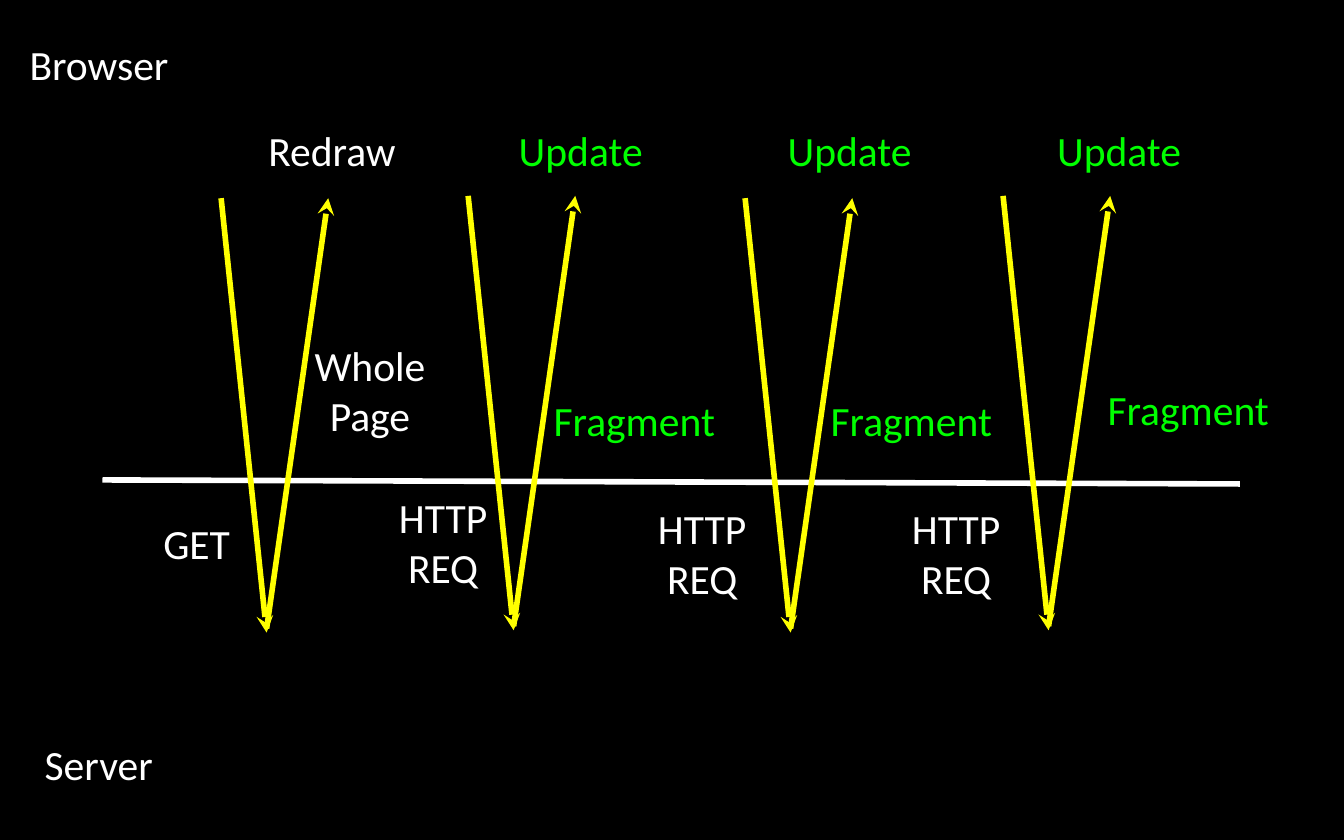
"""Build a slide of browser and server round trips, whole page versus fragments."""
from dataclasses import dataclass

from lxml import etree
from pptx import Presentation
from pptx.dml.color import RGBColor
from pptx.enum import shapes, text
from pptx.oxml import ns
from pptx.util import Inches, Pt

BLACK = RGBColor(0x00, 0x00, 0x00)
WHITE = RGBColor(0xFF, 0xFF, 0xFF)
GREEN = RGBColor(0x00, 0xFF, 0x00)
YELLOW = RGBColor(0xFF, 0xFF, 0x00)
LINE_HEIGHT = 0.87


@dataclass
class Label:
    words: str
    left: float
    top: float
    width: float
    color: RGBColor = WHITE


@dataclass
class Trip:
    left: float
    top: float
    request: Label
    response: Label
    result: Label


def http_req(left: float, top: float) -> Label:
    return Label("HTTP\nREQ", left, top, 1.77)


def fragment(left: float, top: float) -> Label:
    return Label("Fragment", left, top, 3.31, GREEN)


def update(left: float) -> Label:
    return Label("Update", left, 2.17, 2.49, GREEN)


TRIPS = [
    Trip(3.84, 3.44, Label("GET", 2.75, 8.98, 1.33),
         Label("Whole\nPage", 5.35, 5.89, 2.15), Label("Redraw", 4.48, 2.17, 2.57)),
    Trip(8.13, 3.4, http_req(6.81, 8.54), fragment(9.36, 6.85), update(8.84)),
    Trip(12.94, 3.44, http_req(11.31, 8.72), fragment(14.17, 6.85), update(13.51)),
    Trip(17.42, 3.4, http_req(15.72, 8.72), fragment(18.98, 6.66), update(18.19)),
]
SIDES = [Label("Browser", 0.31, 0.67, 2.82), Label("Server", 0.63, 12.82, 2.17)]


def add_label(s, label: Label) -> None:
    lines = label.words.split("\n")
    sp = s.shapes.add_textbox(Inches(label.left), Inches(label.top),
                              Inches(label.width), Inches(LINE_HEIGHT * len(lines)))
    tf = sp.text_frame
    tf.margin_left = tf.margin_top = tf.margin_right = tf.margin_bottom = 0
    tf.word_wrap = False
    tf.auto_size = text.MSO_AUTO_SIZE.SHAPE_TO_FIT_TEXT
    tf.vertical_anchor = text.MSO_ANCHOR.MIDDLE
    tf.text = label.words
    for p in tf.paragraphs:
        p.alignment = text.PP_ALIGN.CENTER
        p.font.name = "Calibri"
        p.font.size = Pt(52)
        p.font.color.rgb = label.color


def add_line(s, x1: float, y1: float, x2: float, y2: float,
             color: RGBColor, arrow: bool = False) -> None:
    sp = s.shapes.add_connector(shapes.MSO_CONNECTOR.STRAIGHT,
                                Inches(x1), Inches(y1), Inches(x2), Inches(y2))
    sp.line.color.rgb = color
    sp.line.width = Pt(7)
    if arrow:
        ln = sp.line._get_or_add_ln()
        etree.SubElement(ln, ns.qn("a:tailEnd"), type="stealth")
    etree.SubElement(sp._element.spPr, ns.qn("a:effectLst"))


def add_trip(s, trip: Trip) -> None:
    turn = trip.left + 0.79
    add_line(s, trip.left, trip.top, turn, trip.top + 7.54, YELLOW, arrow=True)
    add_line(s, turn, trip.top + 7.47, turn + 1.07, trip.top, YELLOW, arrow=True)
    for label in (trip.request, trip.response, trip.result):
        add_label(s, label)


def main() -> None:
    prs = Presentation()
    prs.slide_width, prs.slide_height = Inches(23.34), Inches(14.58)
    s = prs.slides.add_slide(prs.slide_layouts[6])
    s.background.fill.solid()
    s.background.fill.fore_color.rgb = BLACK
    add_line(s, 1.78, 8.33, 21.53, 8.4, WHITE)
    for side in SIDES:
        add_label(s, side)
    for trip in TRIPS:
        add_trip(s, trip)
    prs.save("out.pptx")


if __name__ == "__main__":
    main()
